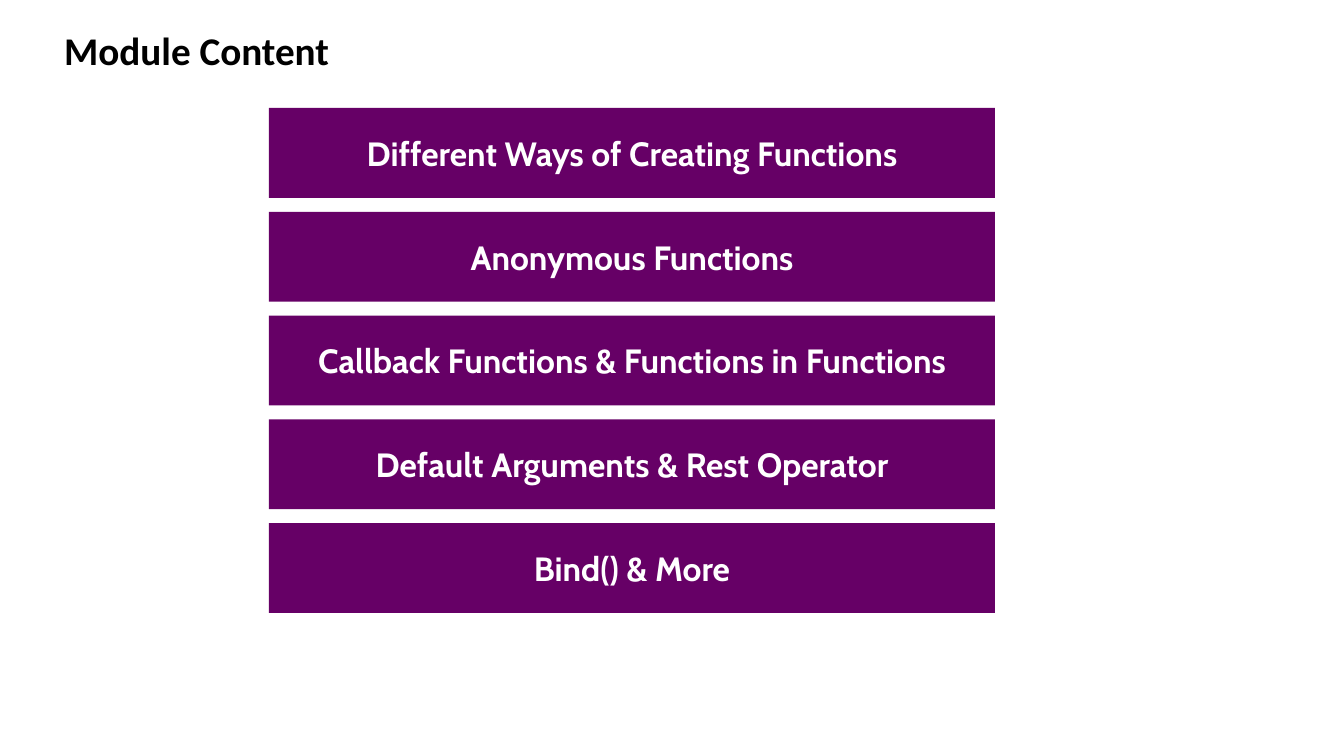
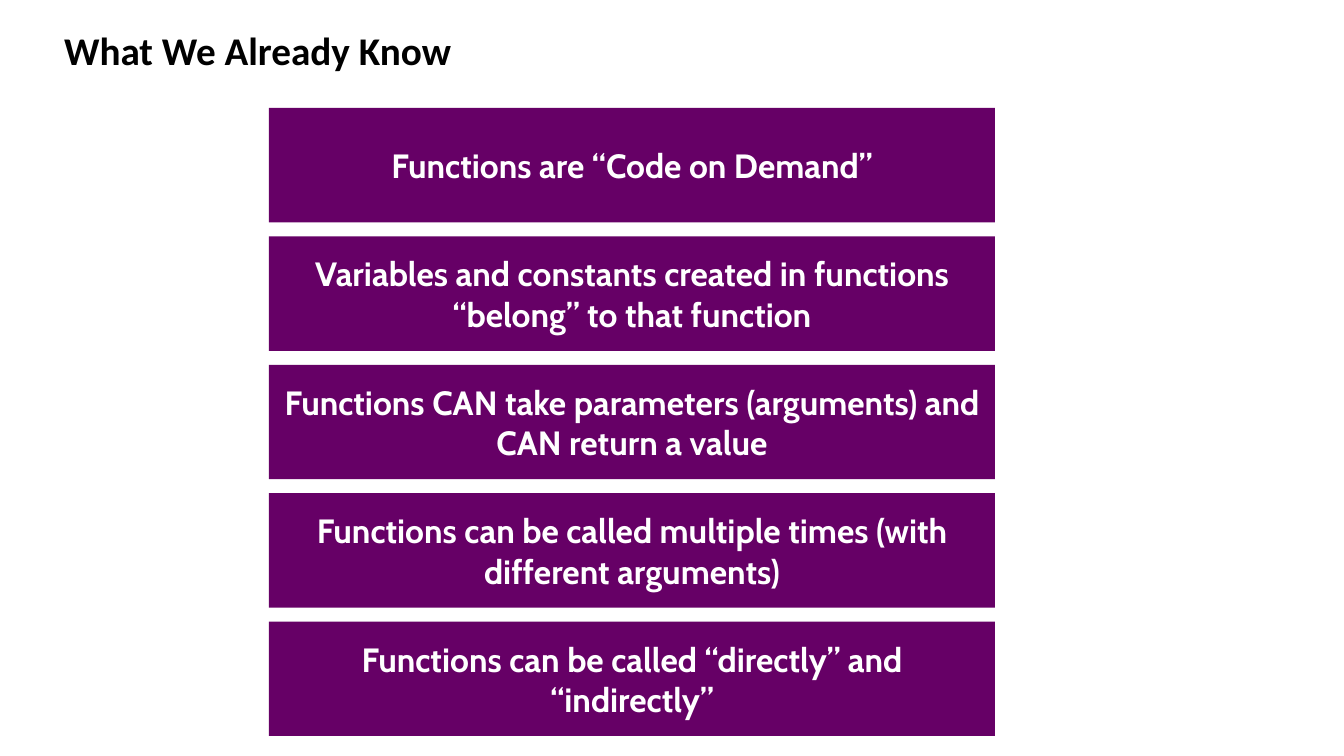
import pptx
import pptx.util
import pptx.dml.color
import pptx.enum.shapes
import pptx.enum.text

PURPLE = pptx.dml.color.RGBColor(0x66, 0x00, 0x66)
WHITE = pptx.dml.color.RGBColor(0xFF, 0xFF, 0xFF)
BLACK = pptx.dml.color.RGBColor(0x00, 0x00, 0x00)

SLIDES = [
    {
        "title": "Module Content",
        "bottom": 613,
        "topics": [
            "Different Ways of Creating Functions",
            "Anonymous Functions",
            "Callback Functions & Functions in Functions",
            "Default Arguments & Rest Operator",
            "Bind() & More",
        ],
    },
    {
        "title": "What We Already Know",
        "bottom": 736,
        "topics": [
            "Functions are “Code on Demand”",
            "Variables and constants created in functions “belong” to that function",
            "Functions CAN take parameters (arguments) and CAN return a value",
            "Functions can be called multiple times (with different arguments)",
            "Functions can be called “directly” and “indirectly”",
        ],
    },
]

EMU_PER_PX = 914400 / 100.8
SLIDE_WIDTH, SLIDE_HEIGHT = 1344, 756
TITLE_BOX = (54, 21, 662, 57)
BAR_LEFT, BAR_TOP, BAR_WIDTH, BAR_GAP = 269, 108, 726, 14
TITLE_ONLY = 5


def px(length):
    return pptx.util.Emu(round(length * EMU_PER_PX))


def write_text(shape, text, *, font, size, color, align):
    frame = shape.text_frame
    frame.word_wrap = True
    frame.vertical_anchor = pptx.enum.text.MSO_ANCHOR.MIDDLE
    paragraph = frame.paragraphs[0]
    paragraph.alignment = align
    run = paragraph.add_run()
    run.text = text
    run.font.name = font
    run.font.size = pptx.util.Pt(size)
    run.font.bold = True
    run.font.color.rgb = color


def add_title(slide, text):
    title = slide.shapes.title
    title.left, title.top, title.width, title.height = map(px, TITLE_BOX)
    write_text(title, text, font="Calibri", size=28, color=BLACK,
               align=pptx.enum.text.PP_ALIGN.LEFT)
    title.text_frame.auto_size = pptx.enum.text.MSO_AUTO_SIZE.SHAPE_TO_FIT_TEXT


def add_bars(slide, topics, bottom):
    pitch = (bottom + BAR_GAP - BAR_TOP) / len(topics)
    for index, topic in enumerate(topics):
        bar = slide.shapes.add_shape(
            pptx.enum.shapes.MSO_SHAPE.RECTANGLE,
            px(BAR_LEFT), px(BAR_TOP + index * pitch),
            px(BAR_WIDTH), px(pitch - BAR_GAP))
        bar.shadow.inherit = False
        bar.fill.solid()
        bar.fill.fore_color.rgb = PURPLE
        bar.line.fill.background()
        write_text(bar, topic, font="Cabin", size=24, color=WHITE,
                   align=pptx.enum.text.PP_ALIGN.CENTER)


def main():
    presentation = pptx.Presentation()
    presentation.slide_width = px(SLIDE_WIDTH)
    presentation.slide_height = px(SLIDE_HEIGHT)
    for content in SLIDES:
        slide = presentation.slides.add_slide(presentation.slide_layouts[TITLE_ONLY])
        add_title(slide, content["title"])
        add_bars(slide, content["topics"], content["bottom"])
    presentation.save("out.pptx")


if __name__ == "__main__":
    main()
